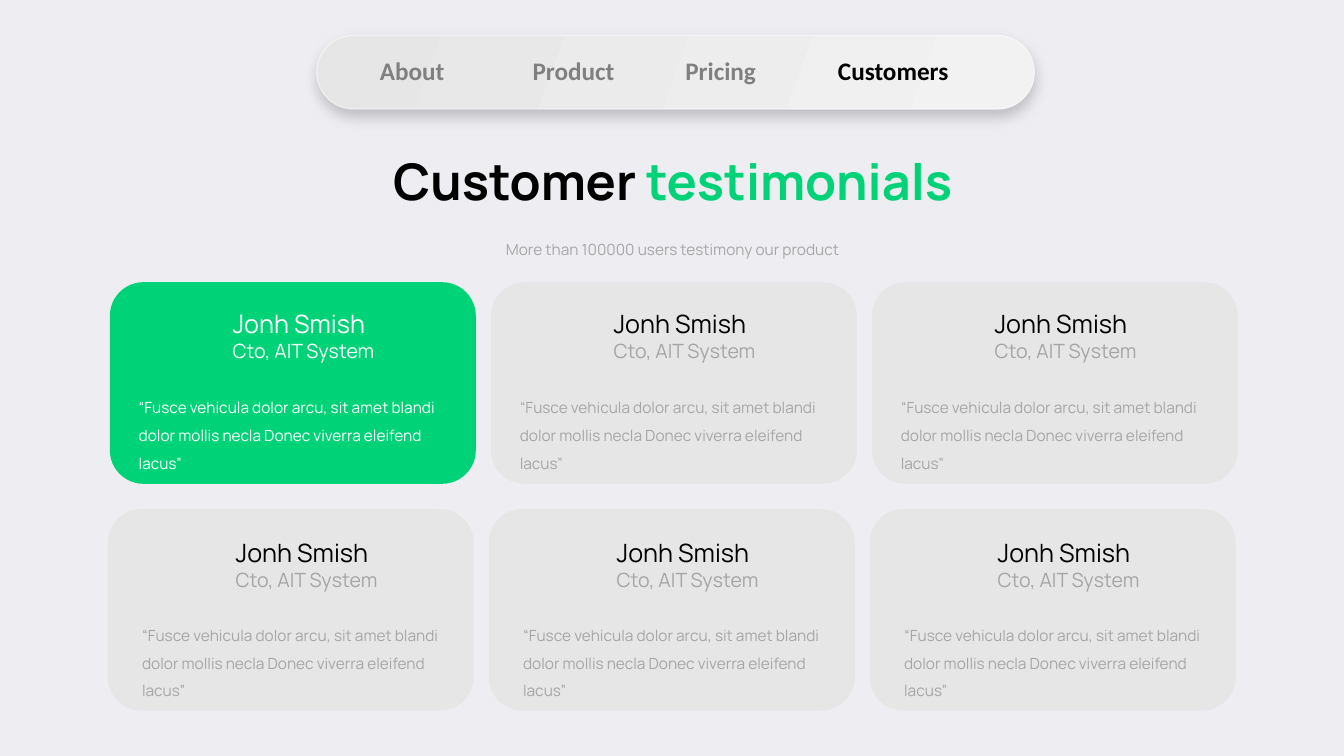
from dataclasses import dataclass

from lxml import etree
from pptx import Presentation
from pptx.dml.color import RGBColor
from pptx.enum.shapes import MSO_SHAPE
from pptx.enum.text import MSO_ANCHOR, MSO_AUTO_SIZE, PP_ALIGN
from pptx.oxml.ns import qn
from pptx.util import Pt

ROUNDED = MSO_SHAPE.ROUNDED_RECTANGLE
GROW, NO_FIT = MSO_AUTO_SIZE.SHAPE_TO_FIT_TEXT, MSO_AUTO_SIZE.NONE
TOP = MSO_ANCHOR.TOP
LEFT, CENTER = PP_ALIGN.LEFT, PP_ALIGN.CENTER
TITLE_ONLY = 5
NO_GRID_STYLE = "{2D5ABB26-0587-4C30-8999-92F81FD0307C}"


@dataclass(frozen=True)
class Theme:
    font: str = "Manrope"
    menu_font: str = "Calibri"
    background: str = "EEEDF2"
    accent: str = "00D278"
    card: str = "E7E6E6"
    pill_end: str = "F2F2F2"
    black: str = "000000"
    white: str = "FFFFFF"
    menu_gray: str = "808080"
    quote_gray: str = "A6A6A6"
    role_gray: str = "A5A5A5"
    title_size: int = 36
    name_size: int = 18
    role_size: int = 14
    body_size: int = 11


def add_run(paragraph, text, *, size, color, font, bold=False):
    run = paragraph.add_run()
    run.text = text
    run.font.size = Pt(size)
    run.font.name = font
    run.font.bold = bold
    run.font.color.rgb = RGBColor.from_string(color)


def add_alpha(color_element, percent):
    etree.SubElement(color_element, qn("a:alpha"), val=str(percent * 1000))


class SlideBuilder:
    def __init__(self, slide, theme):
        self.slide, self.theme = slide, theme
        fill = slide.background.fill
        fill.solid()
        fill.fore_color.rgb = RGBColor.from_string(theme.background)

    def set_lines(self, frame, lines, align=LEFT, spacing=None, fit=GROW):
        """Each line is a list of (text, size, color, bold) runs."""
        frame.word_wrap = True
        frame.auto_size = fit
        frame.vertical_anchor = TOP
        for index, line in enumerate(lines):
            paragraph = frame.add_paragraph() if index else frame.paragraphs[0]
            paragraph.alignment = align
            if spacing:
                paragraph.line_spacing = spacing
            for text, size, color, bold in line:
                add_run(paragraph, text, size=size, color=color,
                        font=self.theme.font, bold=bold)

    def title(self, box, runs):
        title = self.slide.shapes.title
        title.left, title.top, title.width, title.height = map(Pt, box)
        self.set_lines(title.text_frame, [runs], align=CENTER, spacing=1.0, fit=NO_FIT)

    def text(self, box, lines, **layout):
        textbox = self.slide.shapes.add_textbox(*map(Pt, box))
        self.set_lines(textbox.text_frame, lines, **layout)
        return textbox

    def card(self, box, color):
        card = self.slide.shapes.add_shape(ROUNDED, *map(Pt, box))
        card.shadow.inherit = False
        card.fill.solid()
        card.fill.fore_color.rgb = RGBColor.from_string(color)
        card.line.fill.background()

    def pill(self, box):
        theme = self.theme
        pill = self.slide.shapes.add_shape(ROUNDED, *map(Pt, box))
        pill.adjustments[0] = 0.5
        pill.fill.gradient()
        pill.fill.gradient_angle = 340
        for stop, color in zip(pill.fill.gradient_stops, (theme.card, theme.pill_end)):
            stop.color.rgb = RGBColor.from_string(color)
        pill.line.width = Pt(1)
        pill.line.color.rgb = RGBColor.from_string(theme.white)
        properties = pill._element.spPr
        add_alpha(properties.find(qn("a:ln")).find(".//" + qn("a:srgbClr")), 50)

        # Soft shadow below the menu
        pill.shadow.inherit = False
        shadow = etree.SubElement(
            properties.find(qn("a:effectLst")), qn("a:outerShdw"),
            blurRad=str(Pt(10)), dist=str(Pt(5)), dir="5400000",
            algn="t", rotWithShape="0")
        add_alpha(etree.SubElement(shadow, qn("a:srgbClr"), val=theme.black), 20)

    def menu(self, box, entries, current):
        theme = self.theme
        table = self.slide.shapes.add_table(1, len(entries), *map(Pt, box)).table
        table.first_row = table.horz_banding = False
        table._tbl.tblPr.find(qn("a:tableStyleId")).text = NO_GRID_STYLE
        for cell, entry in zip(table.iter_cells(), entries):
            cell.fill.background()
            add_run(cell.text_frame.paragraphs[0], entry, size=theme.name_size,
                    color=theme.black if entry == current else theme.menu_gray,
                    font=theme.menu_font, bold=True)

    def testimonial(self, name_at, quote_at, name_color, role_color, quote_color):
        theme = self.theme
        quote = self.text((*quote_at, 234, 65.5),
                          [[(QUOTE, theme.body_size, quote_color, False)]], spacing=1.5)
        person = self.text((*name_at, 144.7, 46),
                           [[(NAME, theme.name_size, name_color, False)],
                            [(ROLE, theme.role_size, role_color, False)]])
        self.slide.shapes.add_group_shape([quote, person])


NAME = "Jonh Smish"
ROLE = "Cto, AIT System"
QUOTE = ("“Fusce vehicula dolor arcu, sit amet blandi dolor mollis necla "
         "Donec viverra eleifend lacus”")
COLUMNS, COLUMN_PITCH = 3, 272.16
CARD_SIZE = (261.4, 144)
# Left and top of the first card, name and quote in each row
ROWS = [
    ((78.5, 201.6), (159, 216.7), (92, 274.3)),
    ((77, 363.6), (161.2, 380.2), (94.4, 437)),
]


def main():
    theme = Theme()
    presentation = Presentation()
    presentation.slide_width, presentation.slide_height = Pt(960), Pt(540)
    slide = presentation.slides.add_slide(presentation.slide_layouts[TITLE_ONLY])
    builder = SlideBuilder(slide, theme)

    # Menu bar
    builder.pill((226.2, 25.3, 512.6, 52.6))
    builder.menu((264.2, 36.7, 436.3, 29.5),
                 ["About", "Product", "Pricing", "Customers"], current="Customers")

    # Heading
    builder.title((197.3, 103.7, 566.6, 51),
                  [("Customer", theme.title_size, theme.black, True),
                   (" testimonials", theme.title_size, theme.accent, True)])
    builder.text((132.5, 161.3, 696.2, 25.2),
                 [[("More than 100000 users testimony our product",
                    theme.body_size, theme.quote_gray, False)]],
                 align=CENTER, spacing=1.5)

    # Testimonial cards, the first one highlighted
    for row, origins in enumerate(ROWS):
        for column in range(COLUMNS):
            card_at, name_at, quote_at = [
                (left + column * COLUMN_PITCH, top) for left, top in origins]
            if row == column == 0:
                fill, text_colors = theme.accent, [theme.white] * 3
            else:
                fill = theme.card
                text_colors = [theme.black, theme.role_gray, theme.quote_gray]
            builder.card((*card_at, *CARD_SIZE), fill)
            builder.testimonial(name_at, quote_at, *text_colors)

    presentation.save("out.pptx")


if __name__ == "__main__":
    main()
